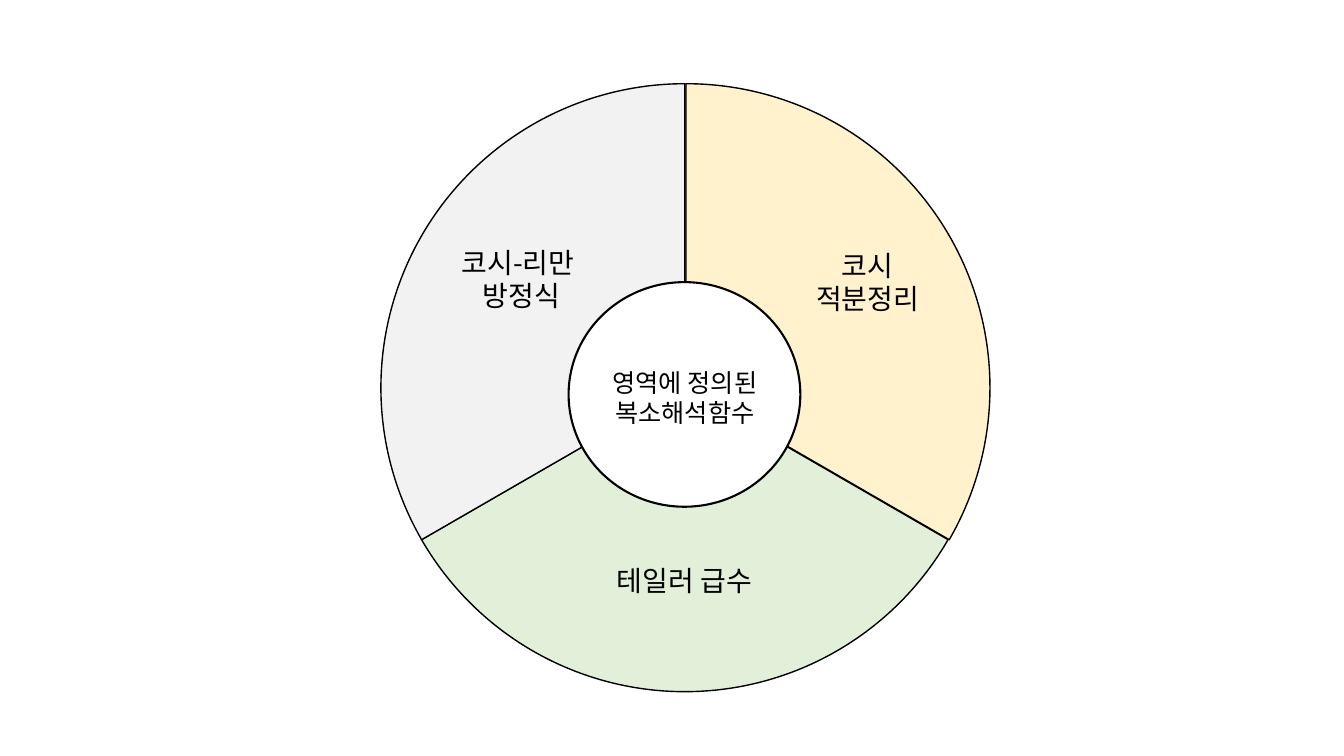
import pptx
import pptx.dml.color
import pptx.enum.shapes
import pptx.enum.text
import pptx.oxml
import pptx.oxml.ns
import pptx.util

Cm = pptx.util.Cm
Pt = pptx.util.Pt
SHAPES = pptx.enum.shapes.MSO_SHAPE
FONT = "Noto Sans CJK KR"
BLACK = "000000"
WHEEL_TOP, WHEEL_SIZE = 2.11, 15.32

# Sector: left edge in cm, start angle in degrees, fill
SECTORS = [
    (9.63, 270, "FFF2CC"),
    (9.6, 30, "E2F0D9"),
    (9.6, 150, "F2F2F2"),
]

# Label: left, top, width, height in cm, font size, lines
LABELS = [
    (14.96, 9.12, 4.6, 1.8, 18, ["영역에 정의된", "복소해석함수"]),
    (20.14, 6.12, 3.61, 1.96, 20, ["코시 ", "적분정리 "]),
    (11.18, 6.05, 3.91, 1.96, 20, ["코시-리만 ", "방정식"]),
    (15.09, 14.07, 4.32, 1.12, 20, ["테일러 급수"]),
]


def color(hex_code):
    return pptx.dml.color.RGBColor.from_string(hex_code)


def add_outlined(page, kind, left, top, width, height, fill, line_width):
    shape = page.shapes.add_shape(kind, Cm(left), Cm(top), Cm(width), Cm(height))
    shape.shadow.inherit = False
    shape.fill.solid()
    shape.fill.fore_color.rgb = color(fill)
    shape.line.color.rgb = color(BLACK)
    shape.line.width = Pt(line_width)
    return shape


def add_sector(page, left, start, fill):
    sector = add_outlined(page, SHAPES.PIE, left, WHEEL_TOP,
                          WHEEL_SIZE, WHEEL_SIZE, fill, 1)
    # Angles are stored in 60000ths of a degree, adjustments in 100000ths
    for index, angle in enumerate((start, (start + 120) % 360)):
        sector.adjustments[index] = angle * 0.6


def add_label(page, left, top, width, height, size, lines):
    box = page.shapes.add_textbox(Cm(left), Cm(top), Cm(width), Cm(height))
    frame = box.text_frame
    frame.word_wrap = True
    frame.vertical_anchor = pptx.enum.text.MSO_ANCHOR.MIDDLE
    frame.text = "\n".join(lines)
    for para in frame.paragraphs:
        para.alignment = pptx.enum.text.PP_ALIGN.CENTER
        para.line_spacing = Pt(size * 1.2)
        for span in para.runs:
            span.font.size = Pt(size)
            span.font.name = FONT
            span.font.color.rgb = color(BLACK)
            # Korean glyphs take the East Asian typeface
            east_asian = pptx.oxml.parse_xml(
                f'<a:ea {pptx.oxml.ns.nsdecls("a")} typeface="{FONT}"/>')
            span.font._element.append(east_asian)


def main():
    deck = pptx.Presentation()
    deck.slide_width, deck.slide_height = Cm(33.87), Cm(19.05)
    page = deck.slides.add_slide(deck.slide_layouts[6])

    # Wheel of three equal sectors
    for sector in SECTORS:
        add_sector(page, *sector)

    # Hub
    add_outlined(page, SHAPES.OVAL, 14.33, 7.11, 5.84, 5.66, "FFFFFF", 1.5)

    # Labels
    for label in LABELS:
        add_label(page, *label)

    deck.save("out.pptx")


main()
